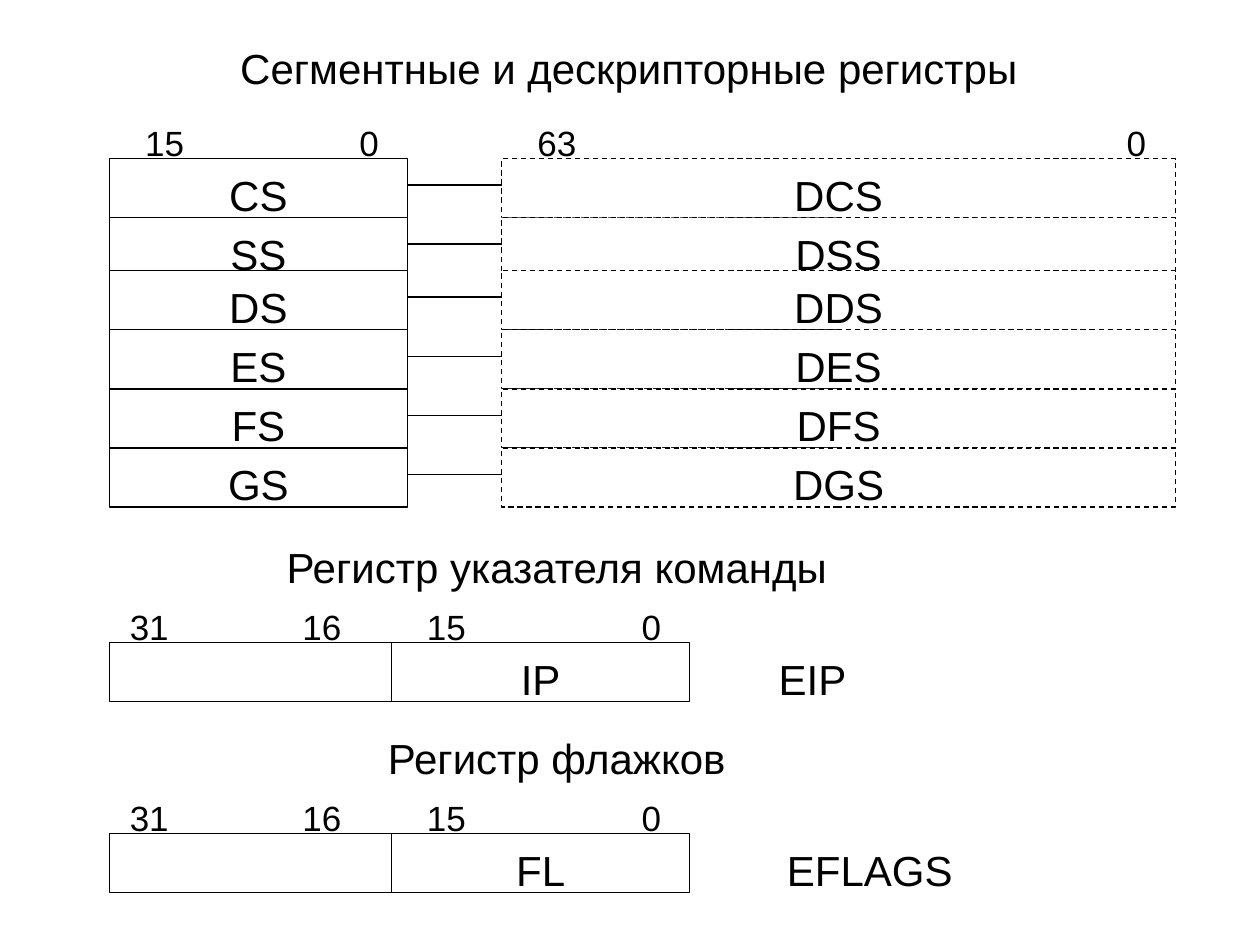
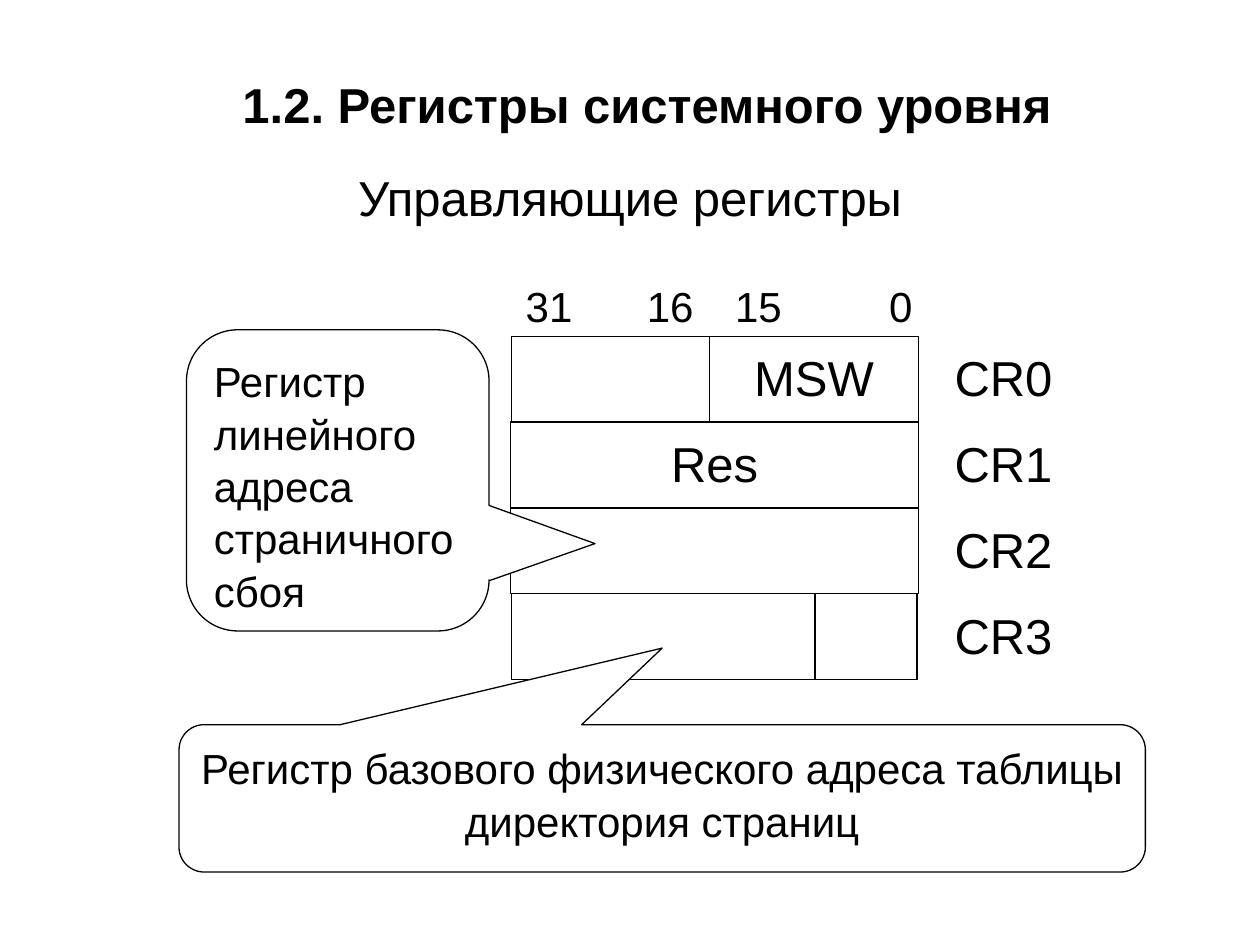
from itertools import accumulate

from lxml import etree
from pptx import Presentation
from pptx.dml.color import RGBColor
from pptx.enum import dml, shapes, text as txt
from pptx.oxml.ns import qn
from pptx.util import Cm, Pt

BLACK = RGBColor(0x00, 0x00, 0x00)
WHITE = RGBColor(0xFF, 0xFF, 0xFF)
FONT = "Arial"
RULE = Pt(0.75)
MID = txt.PP_ALIGN.CENTER
LEFT = txt.PP_ALIGN.LEFT
RECT = shapes.MSO_SHAPE.RECTANGLE
BUBBLE = shapes.MSO_SHAPE.ROUNDED_RECTANGULAR_CALLOUT

FRAME = {
    "word_wrap": True,
    "vertical_anchor": txt.MSO_ANCHOR.TOP,
    "margin_left": Cm(0.25),
    "margin_right": Cm(0.25),
    "margin_top": Cm(0.18),
    "margin_bottom": Cm(0.13),
}


def style(item, values):
    for name, value in values.items():
        setattr(item, name, value)


def write(shape, words, size, bold=False, align=MID):
    style(shape.text_frame, FRAME)
    para = shape.text_frame.paragraphs[0]
    style(para, {"text": words, "alignment": align, "line_spacing": 1.04})
    style(para.font, {"name": FONT, "size": Pt(size), "bold": bold})
    para.font.color.rgb = BLACK


def label(slide, words, x, y, w, h, size=24, bold=False):
    box = slide.shapes.add_textbox(Cm(x), Cm(y), Cm(w), Cm(h))
    write(box, words, size, bold)


def cell(slide, words, x, y, w, h, size=24, dash=False, kind=RECT, align=MID):
    """Draw a white outlined shape, with text if there is any."""
    shape = slide.shapes.add_shape(kind, Cm(x), Cm(y), Cm(w), Cm(h))
    shape.shadow.inherit = False
    shape.fill.solid()
    shape.fill.fore_color.rgb = WHITE
    shape.line.color.rgb = BLACK
    shape.line.width = RULE
    if dash:
        shape.line.dash_style = dml.MSO_LINE.DASH
    if words:
        write(shape, words, size, align=align)
    return shape


def link(slide, x1, x2, y):
    line = slide.shapes.add_connector(
        shapes.MSO_CONNECTOR.STRAIGHT, Cm(x1), Cm(y), Cm(x2), Cm(y))
    line.line.color.rgb = BLACK
    line.line.width = RULE
    etree.SubElement(line._element.spPr, qn("a:effectLst"))


def bits(slide, marks, x, y, h, size):
    """Write bit numbers, given as (number, offset, width)."""
    for num, dx, w in marks:
        label(slide, num, x + dx, y, w, h, size)


def bank(slide, x, y):
    """Segment registers, each linked to its dashed descriptor register."""
    wide, high, gap, far = 6.0, 1.19, 1.9, 13.59
    marks = [("15", -0.63, 3.48), ("0", 3.81, 2.84),
             ("63", 6.96, 4.11), ("0", 19.28, 2.84)]
    bits(slide, marks, x, y - 0.97, 1.12, 20)
    tops = accumulate([y, 1.19, 1.07, 1.19, 1.19, 1.19])
    for name, top in zip(["CS", "SS", "DS", "ES", "FS", "GS"], tops):
        cell(slide, name, x, top, wide, high)
        cell(slide, "D" + name, x + wide + gap, top, far, high, dash=True)
        link(slide, x + wide, x + wide + gap, top + 0.53)


def split(slide, x, y, title, low, name, wide):
    """One 32-bit register whose low half has its own name."""
    label(slide, title, x - 0.94, y - 2.25, 19.91, 1.19)
    marks = [("31", -0.94, 3.48), ("16", 2.54, 3.48),
             ("15", 5.05, 3.48), ("0", 9.5, 2.84)]
    bits(slide, marks, x, y - 0.96, 1.12, 20)
    cell(slide, "", x, y, 6.0, 1.19)
    cell(slide, low, x + 5.69, y, 6.0, 1.19)
    label(slide, name, x + 10.74, y, wide, 1.12)


def control(slide, x, y):
    """Control registers CR0 to CR3, one row each."""
    high = 1.73
    marks = [("31", -0.46, 2.44), ("16", 1.98, 2.44),
             ("15", 3.76, 2.44), ("0", 6.86, 1.98)]
    bits(slide, marks, x, y - 1.34, 1.6, 24)
    rows = [
        [("", 0, 4.22), ("MSW", 3.99, 4.22)],
        [("Res", -0.02, 8.23)],
        [("", -0.02, 8.23)],
        [("", 0, 6.12), ("", 6.12, 2.06)],
    ]
    for i, row in enumerate(rows):
        top = y + i * high
        for words, dx, w in row:
            cell(slide, words, x + dx, top, w, high, 28)
        label(slide, f"CR{i}", x + 7.52, top, 4.8, 1.6, 28)


def bubble(slide, words, x, y, w, h, tip, align=MID):
    shape = cell(slide, words, x, y, w, h, kind=BUBBLE, align=align)
    for i, value in enumerate([*tip, 0.17]):
        shape.adjustments[i] = value


def segments(slide):
    label(slide, "Сегментные и дескрипторные регистры ", 2.84, 0.63, 19.91, 1.98)
    bank(slide, 2.21, 3.2)
    split(slide, 2.21, 12.95, "Регистр указателя команды", "IP", "ЕIP", 6.86)
    split(slide, 2.21, 16.8, "Регистр флажков", "FL", "ЕFLAGS", 9.17)


def system(slide):
    label(slide, "1.2. Регистры системного уровня", 3.66, 1.27, 18.77, 2.03, 28, True)
    label(slide, "Управляющие регистры", 2.97, 3.15, 19.46, 2.03, 28)
    control(slide, 10.31, 6.78)
    bubble(slide, "Регистр линейного адреса страничного сбоя",
           3.76, 6.65, 6.1, 6.07, (0.85, 0.21), LEFT)
    bubble(slide, "Регистр базового физического адреса таблицы директория страниц",
           3.61, 14.61, 19.48, 2.97, (0, -1.02))


def main():
    deck = Presentation()
    deck.slide_width, deck.slide_height = Cm(25.4), Cm(19.05)
    for build in (segments, system):
        slide = deck.slides.add_slide(deck.slide_layouts[6])
        slide.background.fill.solid()
        slide.background.fill.fore_color.rgb = WHITE
        build(slide)
    deck.save("out.pptx")


if __name__ == "__main__":
    main()
